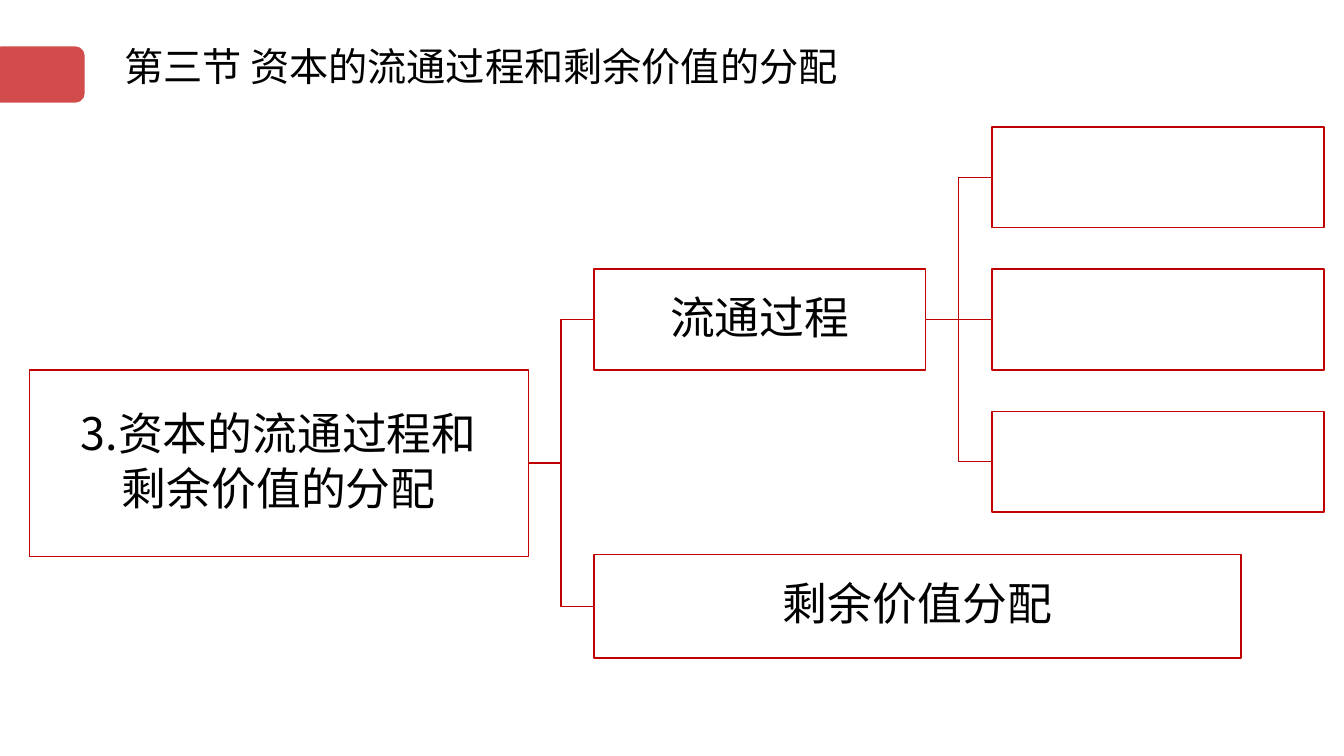
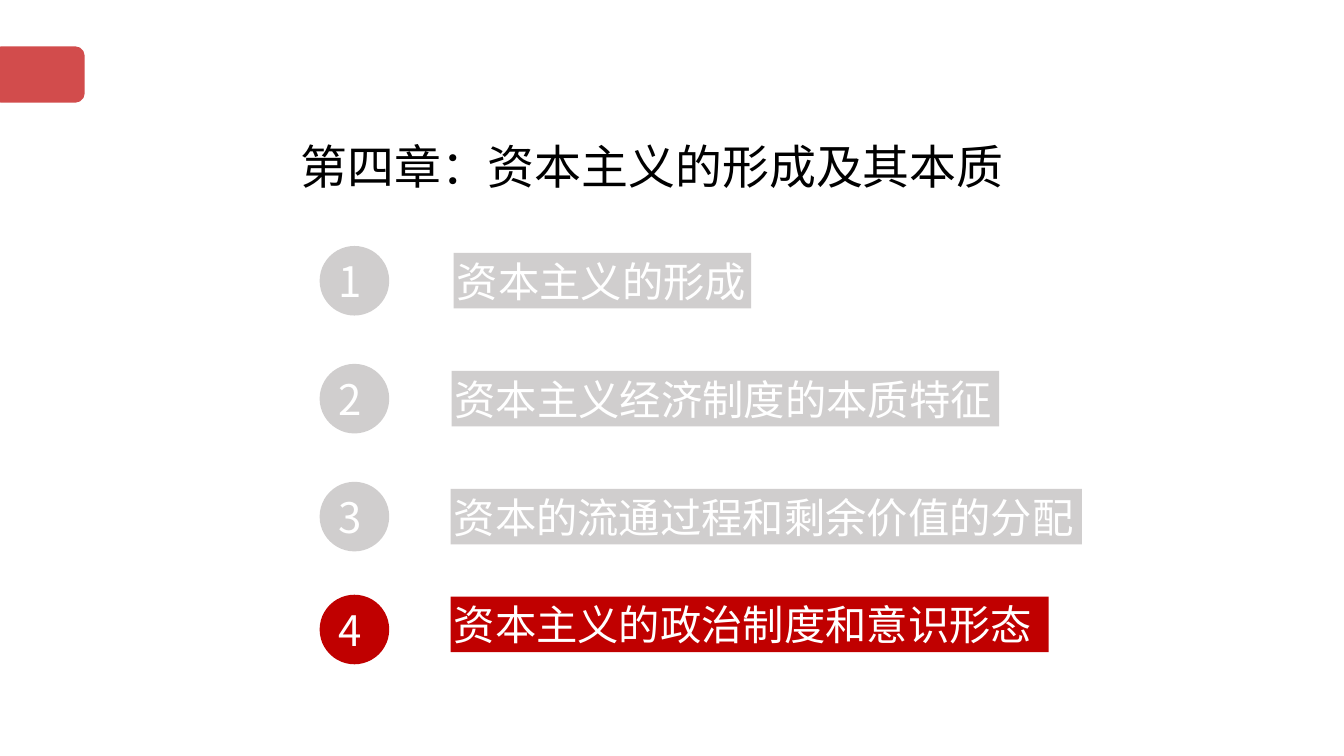
"""Build two lecture slides: a concept tree and a chapter outline."""
from dataclasses import dataclass

from lxml import etree
from pptx import Presentation
from pptx import util as u
from pptx.dml.color import RGBColor
from pptx.enum import shapes, text
from pptx.oxml.ns import qn


@dataclass(frozen=True)
class Theme:
    red: RGBColor = RGBColor(0xC0, 0x00, 0x00)
    grey: RGBColor = RGBColor(0xD0, 0xCE, 0xCE)
    white: RGBColor = RGBColor(0xFF, 0xFF, 0xFF)
    black: RGBColor = RGBColor(0x00, 0x00, 0x00)
    font: str = "Noto Sans CJK SC"
    title: float = 28
    chapter: float = 33.5
    node: float = 32
    number: float = 30
    item: float = 29.5


T = Theme()
PX = 9144


def add_box(s, kind, box, fill, line=None):
    sp = s.shapes.add_shape(kind, *(v * PX for v in box))
    sp.shadow.inherit = False
    sp.fill.solid()
    sp.fill.fore_color.rgb = fill
    if line is None:
        sp.line.fill.background()
    else:
        sp.line.color.rgb = line
        sp.line.width = u.Pt(1)
    return sp


def write(sp, lines, size, color, align=text.PP_ALIGN.LEFT, spacing=1.0, after=0,
          anchor=text.MSO_ANCHOR.MIDDLE, margins=(3, 3, 0, 3)):
    tf = sp.text_frame
    tf.word_wrap = True
    tf.auto_size = text.MSO_AUTO_SIZE.NONE
    tf.vertical_anchor = anchor
    tf.margin_left, tf.margin_top, tf.margin_right, tf.margin_bottom = (m * PX for m in margins)
    for i, line in enumerate(lines):
        p = tf.add_paragraph() if i else tf.paragraphs[0]
        p.alignment = align
        p.line_spacing = spacing
        p.space_after = u.Pt(after)
        r = p.add_run()
        r.text = line
        r.font.size = u.Pt(size)
        r.font.name = T.font
        r.font.color.rgb = color
        ea = etree.SubElement(r.font._element, qn("a:ea"))
        ea.set("typeface", T.font)


prs = Presentation()
prs.slide_width, prs.slide_height = 1333 * PX, 750 * PX
layout = prs.slide_layouts[5]
RECT, OVAL = shapes.MSO_SHAPE.RECTANGLE, shapes.MSO_SHAPE.OVAL

titles = [
    ("第三节 资本的流通过程和剩余价值的分配", (113, 37, 740, 71),
     dict(size=T.title, anchor=text.MSO_ANCHOR.TOP, margins=(10, 5, 10, 5))),
    ("第四章：资本主义的形成及其本质", (295, 105, 710, 90),
     dict(size=T.chapter, spacing=1.5)),
]
for title, box, style in titles:
    s = prs.slides.add_slide(layout)
    sp = s.shapes.title
    sp.left, sp.top, sp.width, sp.height = (v * PX for v in box)
    write(sp, [title], color=T.black, **style)
tree, outline = prs.slides

tab = add_box(tree, shapes.MSO_SHAPE.ROUNDED_RECTANGLE, (-8, 46, 92, 56), T.red)
color = tab.fill._xPr.find(qn("a:solidFill"))[0]
etree.SubElement(color, qn("a:alpha")).set("val", "70000")
layout.shapes.element.append(tab.element)

nodes = {
    "root": ((29, 367, 495, 185), None, ["3.资本的流通过程和", "剩余价值的分配"]),
    "circulation": ((589, 267, 329, 100), "root", ["流通过程"]),
    "distribution": ((589, 550, 642, 103), "root", ["剩余价值分配"]),
}
for i in range(3):
    nodes[f"leaf {i}"] = ((984, 126 + 141 * i, 329, 100), "circulation", [])

placed = {}
for name, (box, parent, lines) in nodes.items():
    sp = placed[name] = add_box(tree, RECT, box, T.white, T.red)
    write(sp, lines, T.node, T.black, text.PP_ALIGN.CENTER, 0.9, 5, margins=(2, 2, 2, 2))
    if parent is None:
        continue
    start = placed[parent]
    level = start.top + start.height // 2 == sp.top + sp.height // 2
    kind = shapes.MSO_CONNECTOR.STRAIGHT if level else shapes.MSO_CONNECTOR.ELBOW
    link = tree.shapes.add_connector(kind, 0, 0, 0, 0)
    link.begin_connect(start, 3)
    link.end_connect(sp, 1)
    link.line.color.rgb = T.red
    link.line.width = u.Pt(1)
    etree.SubElement(link.element.spPr, qn("a:effectLst"))

items = [
    ("资本主义的形成", 244, (450, 251, 295), T.grey),
    ("资本主义经济制度的本质特征", 361, (448, 368, 543), T.grey),
    ("资本的流通过程和剩余价值的分配", 478, (447, 485, 626), T.grey),
    ("资本主义的政治制度和意识形态", 590, (447, 592, 593), T.red),
]
for number, (label, circle_top, (left, top, width), fill) in enumerate(items, 1):
    circle = add_box(outline, OVAL, (317, circle_top, 69, 69), fill)
    write(circle, [str(number)], T.number, T.white, margins=(9, 0, 0, 0))
    band = add_box(outline, RECT, (left, top, width, 55), fill)
    write(band, [label], T.item, T.white)

prs.save("out.pptx")
